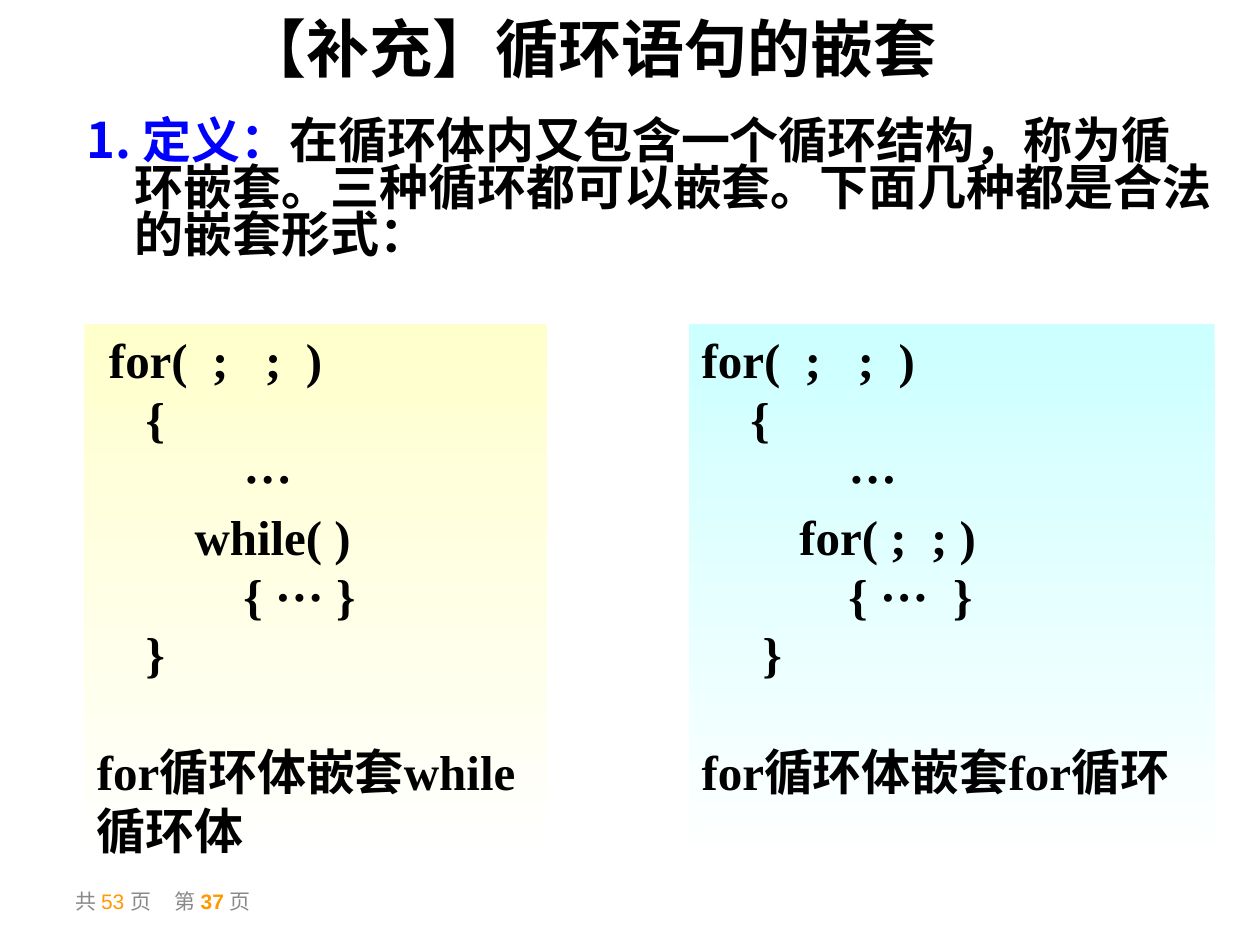
import pptx
import pptx.util
import pptx.dml.color
import pptx.enum.shapes
import pptx.enum.text
import pptx.oxml.ns
import lxml.etree

Inches = pptx.util.Inches
Pt = pptx.util.Pt
Align = pptx.enum.text.PP_ALIGN
Anchor = pptx.enum.text.MSO_ANCHOR
SANS = "Noto Sans CJK SC"


def tint(code):
    return pptx.dml.color.RGBColor.from_string(code)


def add_tag(node, name, **attrs):
    tag = lxml.etree.SubElement(node, pptx.oxml.ns.qn(name))
    for key, value in attrs.items():
        tag.set(key, str(value))
    return tag


class Deck:
    black = "000000"
    blue = "0000FF"
    grey = "898989"
    gold = "FF9900"
    step = 0.097
    pitch = 33.6

    def __init__(self):
        self.show = pptx.Presentation()
        self.show.slide_width = Inches(10)
        self.show.slide_height = Inches(7.5)
        self.slide = self.show.slides.add_slide(self.show.slide_layouts[1])

    def place(self, shape, box):
        shape.left, shape.top, shape.width, shape.height = map(Inches, box)
        frame = shape.text_frame
        frame.word_wrap = True
        frame.auto_size = pptx.enum.text.MSO_AUTO_SIZE.NONE
        return frame

    def style(self, run, size, face, color, bold=True):
        font = run.font
        font.size, font.name, font.bold = Pt(size), face, bold
        font.color.rgb = tint(color)
        if face == SANS:
            add_tag(run._r.get_or_add_rPr(), "a:ea", typeface=face)

    def fill_line(self, para, parts, size, face):
        for text, color, bold in parts:
            run = para.add_run()
            run.text = text
            self.style(run, size, face, color, bold)

    def indent(self, para, left, first=0):
        props = para._p.get_or_add_pPr()
        props.set("marL", str(Inches(left)))
        props.set("indent", str(Inches(first)))
        return props

    def title(self, text, box):
        frame = self.place(self.slide.shapes.title, box)
        frame.vertical_anchor = Anchor.MIDDLE
        frame.text = text
        para = frame.paragraphs[0]
        para.alignment = Align.CENTER
        self.style(para.runs[0], 36, SANS, self.black)

    def body(self, parts, box):
        frame = self.place(self.slide.placeholders[1], box)
        para = frame.paragraphs[0]
        para.line_spacing = 0.8
        para.space_before = Pt(7)
        add_tag(self.indent(para, 0.38, -0.38), "a:buNone")
        self.fill_line(para, parts, 28, SANS)

    def code(self, lines, note, color, box):
        kind = pptx.enum.shapes.MSO_SHAPE.RECTANGLE
        shape = self.slide.shapes.add_shape(kind, *map(Inches, box))
        shape.shadow.inherit = False
        shape.line.fill.background()
        shape.fill.gradient()
        shape.fill.gradient_angle = 270
        for stop, shade in zip(shape.fill.gradient_stops, (color, "FFFFFF")):
            stop.color.rgb = tint(shade)
        frame = self.place(shape, box)
        frame.vertical_anchor = Anchor.TOP
        rows = lines + [(0, note)]
        frame.text = "\n".join(text for _, text in rows)
        for para, (depth, _) in zip(frame.paragraphs, rows):
            para.alignment = Align.LEFT
            para.line_spacing = Pt(self.pitch)
            self.indent(para, depth * self.step)
            self.style(para.runs[0], 28, "Times New Roman", self.black)
        frame.paragraphs[-1].space_before = Pt(self.pitch)

    def footer(self, parts, stop, box):
        shape = self.slide.shapes.add_textbox(*map(Inches, box))
        frame = self.place(shape, box)
        frame.vertical_anchor = Anchor.MIDDLE
        para = frame.paragraphs[0]
        tabs = add_tag(para._p.get_or_add_pPr(), "a:tabLst")
        add_tag(tabs, "a:tab", pos=Inches(stop), algn="l")
        self.fill_line(para, parts, 12, "Arial")


def main():
    deck = Deck()
    deck.footer([("共 ", deck.grey, False), ("53 ", deck.gold, False),
                 ("页\t第 ", deck.grey, False), ("37 ", deck.gold, True),
                 ("页", deck.grey, False)], 0.79, (0.5, 6.95, 2.33, 0.4))
    deck.body([("1. 定义：", deck.blue, True),
               ("在循环体内又包含一个循环结构，称为循环嵌套。"
                "三种循环都可以嵌套。下面几种都是合法的嵌套形式：",
                deck.black, True)], (0.59, 0.91, 9.14, 1.26))
    deck.code([(1, "for(  ;   ;  )"), (4, "{"), (12, "···"),
               (8, "while( )"), (12, "{ ··· }"), (4, "}")],
              "for循环体嵌套while循环体", "FFFFCC", (0.67, 2.57, 3.67, 4.31))
    deck.code([(0, "for(  ;   ;  )"), (4, "{"), (12, "···"),
               (8, "for( ;  ; )"), (12, "{ ···  }"), (5, "}")],
              "for循环体嵌套for循环", "CCFFFF", (5.47, 2.57, 4.17, 4.31))
    deck.title("【补充】循环语句的嵌套", (0.43, 0, 8.5, 0.75))
    deck.show.save("out.pptx")


if __name__ == "__main__":
    main()
